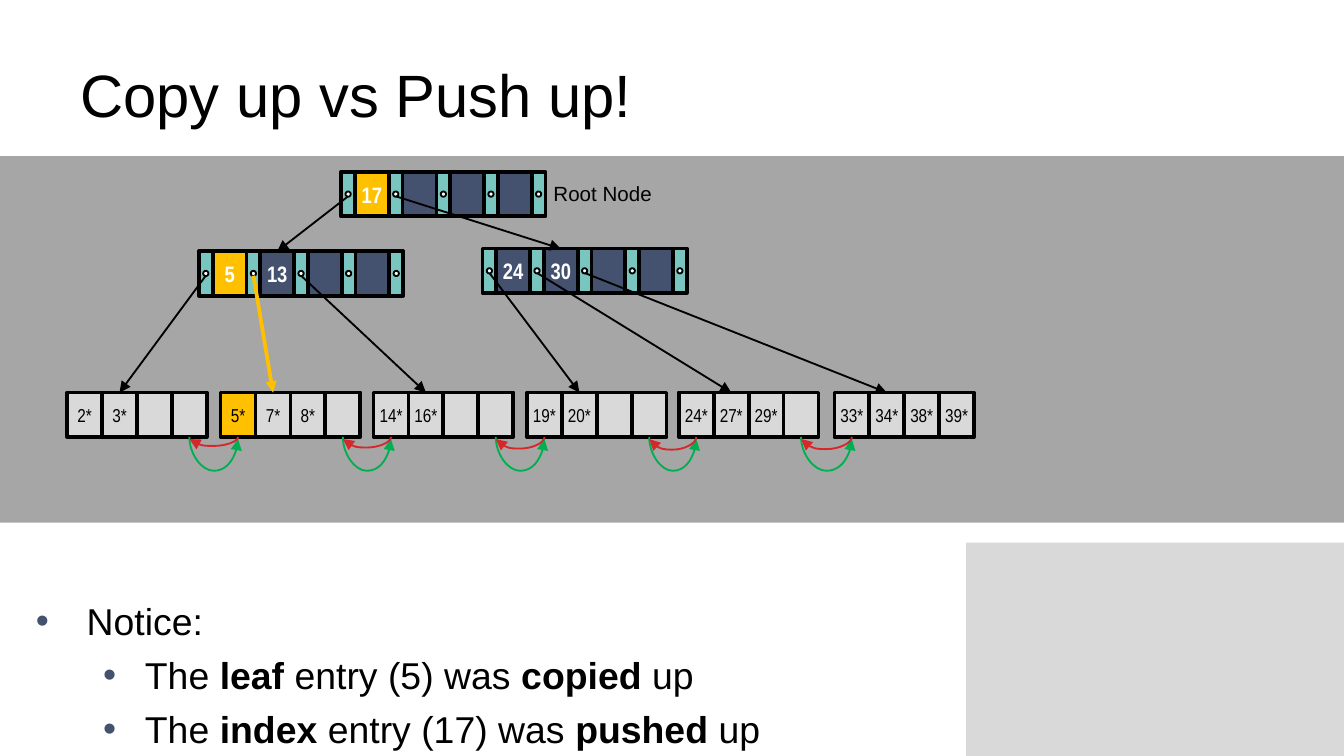
from dataclasses import dataclass

from lxml.etree import SubElement
from pptx import Presentation
from pptx.dml.color import RGBColor as RGB
from pptx.enum.shapes import MSO_CONNECTOR as Link, MSO_SHAPE as Shape
from pptx.enum.text import MSO_ANCHOR as Anchor, PP_ALIGN as Align
from pptx.oxml.ns import qn
from pptx.util import Cm, Pt


@dataclass(frozen=True)
class Theme:
    black: RGB = RGB(0x00, 0x00, 0x00)
    white: RGB = RGB(0xFF, 0xFF, 0xFF)
    light: RGB = RGB(0xD9, 0xD9, 0xD9)
    band: RGB = RGB(0xA6, 0xA6, 0xA6)
    key: RGB = RGB(0x44, 0x51, 0x6F)
    pointer: RGB = RGB(0x79, 0xC6, 0xC1)
    accent: RGB = RGB(0xFF, 0xC0, 0x00)
    forward: RGB = RGB(0x00, 0xB0, 0x50)
    back: RGB = RGB(0xD6, 0x27, 0x2A)
    font: str = "Arial"
    narrow: str = "Arial Narrow"
    title: int = 32
    body: int = 20
    key_size: int = 12
    label: int = 11
    entry: int = 10


T = Theme()

prs = Presentation()
prs.slide_width, prs.slide_height = Cm(25.4), Cm(14.29)
s = prs.slides.add_slide(prs.slide_layouts[6])


def add_box(shapes, kind, x, y, w, h, fill, line=0, text="", size=T.entry, color=T.black, bold=False):
    sp = shapes.add_shape(kind, Cm(x), Cm(y), Cm(w), Cm(h))
    sp.shadow.inherit = False
    sp.fill.solid()
    sp.fill.fore_color.rgb = fill
    if line:
        sp.line.color.rgb = T.black
        sp.line.width = Pt(line)
    else:
        sp.line.fill.background()
    if text:
        tf = sp.text_frame
        tf.margin_left = tf.margin_right = 0
        tf.vertical_anchor = Anchor.MIDDLE
        tf.text = text
        p = tf.paragraphs[0]
        p.alignment = Align.CENTER
        f = p.runs[0].font
        f.name, f.size, f.bold = T.narrow, Pt(size), bold
        f.color.rgb = color


def add_arrow(kind, x1, y1, x2, y2, color, width=1):
    c = s.shapes.add_connector(kind, Cm(x1), Cm(y1), Cm(x2), Cm(y2))
    c.line.color.rgb = color
    c.line.width = Pt(width)
    SubElement(c.line._get_or_add_ln(), qn("a:tailEnd"), type="triangle")
    SubElement(c._element.spPr, qn("a:effectLst"))
    return c


# Background panels
add_box(s.shapes, Shape.RECTANGLE, 18.26, 10.26, 7.14, 4.03, T.light)
add_box(s.shapes, Shape.RECTANGLE, 0, 2.95, 25.4, 6.93, T.band)

# Title and root label
for text, x, y, w, h, size, wrap in [
    ("Copy up vs Push up!", 1.27, 0.58, 22.86, 2.39, T.title, True),
    ("Root Node", 10.21, 3.3, 2.41, 0.74, T.label, False),
]:
    tf = s.shapes.add_textbox(Cm(x), Cm(y), Cm(w), Cm(h)).text_frame
    tf.word_wrap = wrap
    tf.vertical_anchor = Anchor.MIDDLE if wrap else Anchor.TOP
    tf.text = text
    f = tf.paragraphs[0].runs[0].font
    f.name, f.size = T.font, Pt(size)
    f.color.rgb = T.black

# Bullets: (text indent, hanging indent, runs); every second run is bold
bullets = [
    (0.96, 0.96, ["Notice:"]),
    (2.06, 0.79, ["The ", "leaf", " entry (5) was ", "copied", " up"]),
    (2.06, 0.79, ["The ", "index", " entry (17) was ", "pushed ", "up"]),
]
tf = s.shapes.add_textbox(Cm(0.43), Cm(11.18), Cm(22.86), Cm(9.42)).text_frame
tf.word_wrap = True
for i, (indent, hang, parts) in enumerate(bullets):
    p = tf.add_paragraph() if i else tf.paragraphs[0]
    p.level = min(i, 1)
    p.space_before = Pt(5)
    pPr = p._p.get_or_add_pPr()
    pPr.set("marL", str(Cm(indent)))
    pPr.set("indent", str(-Cm(hang)))
    SubElement(SubElement(pPr, qn("a:buClr")), qn("a:srgbClr"), val=str(T.key))
    SubElement(pPr, qn("a:buFont"), typeface=T.font)
    SubElement(pPr, qn("a:buChar"), char="•")
    for j, part in enumerate(parts):
        r = p.add_run()
        r.text = part
        r.font.name, r.font.size, r.font.bold = T.font, Pt(T.body), j % 2 == 1
        r.font.color.rgb = T.black

# Index nodes: five pointers with four keys between them
ROW_H, KEY_W, PTR_W, DOT = 0.84, 0.64, 0.26, 0.1
STEP = KEY_W + PTR_W
root, left, right = nodes = [
    (6.45, 3.25, ["17", "", "", ""]),
    (3.76, 4.75, ["5", "13", "", ""]),
    (9.12, 4.7, ["24", "30", "", ""]),
]
for x, y, keys in nodes:
    g = s.shapes.add_group_shape().shapes
    for i, key in enumerate(keys):
        fill = T.accent if key in ("17", "5") else T.key
        add_box(g, Shape.RECTANGLE, x + PTR_W + i * STEP, y, KEY_W, ROW_H, fill, 2,
                key, T.key_size, T.white, True)
    for i in range(len(keys) + 1):
        px = x + i * STEP
        add_box(g, Shape.RECTANGLE, px, y, PTR_W, ROW_H, T.pointer, 2)
        add_box(g, Shape.OVAL, px + (PTR_W - DOT) / 2, y + (ROW_H - DOT) / 2, DOT, DOT, T.white, 1)

# Leaf nodes
LEAF_Y, CELL_W = 7.42, 0.66
leaves = [
    (1.27, ["2*", "3*", "", ""]),
    (4.17, ["5*", "7*", "8*", ""]),
    (7.06, ["14*", "16*", "", ""]),
    (9.96, ["19*", "20*", "", ""]),
    (12.83, ["24*", "27*", "29*", ""]),
    (15.77, ["33*", "34*", "38*", "39*"]),
]
for x, entries in leaves:
    g = s.shapes.add_group_shape().shapes
    for i, entry in enumerate(entries):
        fill = T.accent if entry == "5*" else T.light
        add_box(g, Shape.RECTANGLE, x + i * CELL_W, LEAF_Y, CELL_W, ROW_H, fill, 2, entry)

# Child arrows: from a pointer to the second slot of the child
edges = [(root, i, n[0] + 1.5 * STEP + PTR_W / 2, n[1]) for i, n in enumerate((left, right))]
edges += [((left, right)[i // 3], i % 3, x + 1.5 * CELL_W, LEAF_Y) for i, (x, _) in enumerate(leaves)]
for (x, y, keys), i, to_x, to_y in edges:
    copied = keys[0] == "5" and i == 1
    add_arrow(Link.STRAIGHT, x + i * STEP + PTR_W / 2, y + 0.46, to_x, to_y,
              T.accent if copied else T.black, 2 if copied else 1)

# Sibling links: a deep forward curve and a shallow backward one
DEPTH, LIFT = 0.64, 0.04
back_depths = [0.17, 0.2, 0.22, 0.24, 0.23]
for (x, _), (next_x, _), back_depth in zip(leaves, leaves[1:], back_depths):
    start, end = x + 3.5 * CELL_W, next_x + CELL_W / 2
    cx, cy, half = (start + end) / 2, LEAF_Y + ROW_H + LIFT / 2, (end - start) / 2
    for color, depth, turn in [(T.forward, DEPTH, 270), (T.back, back_depth, 90)]:
        c = add_arrow(Link.CURVE, cx - LIFT / 2, cy - half, cx + LIFT / 2, cy + half, color)
        spPr = c._element.spPr
        xfrm = spPr.find(qn("a:xfrm"))
        xfrm.set("rot", str(turn * 60000))
        if turn == 270:
            xfrm.set("flipH", "1")
        adjust = spPr.find(qn("a:prstGeom")).find(qn("a:avLst"))
        SubElement(adjust, qn("a:gd"), name="adj1", fmla=f"val {round(depth / LIFT * 100000)}")

prs.save("out.pptx")
